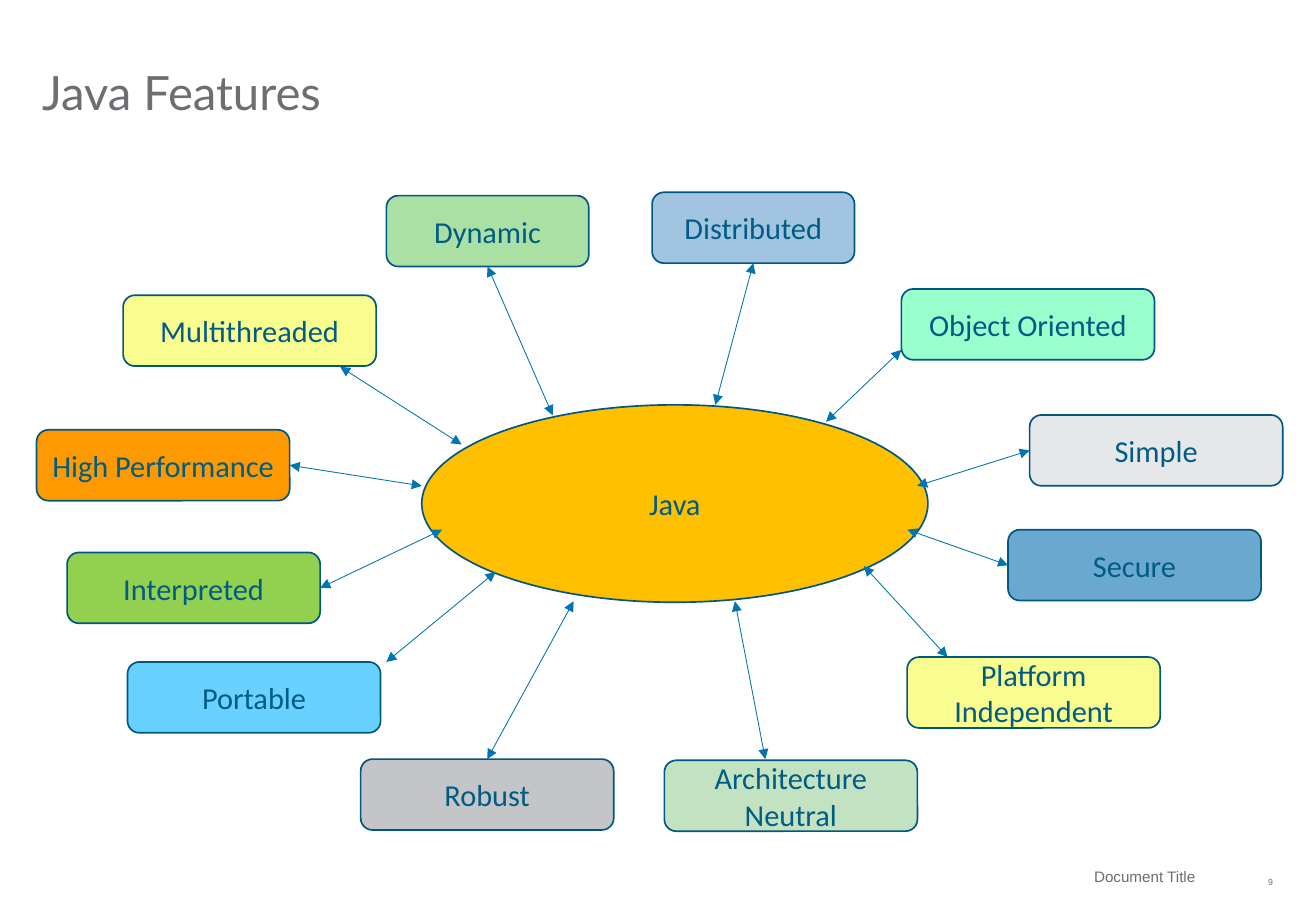
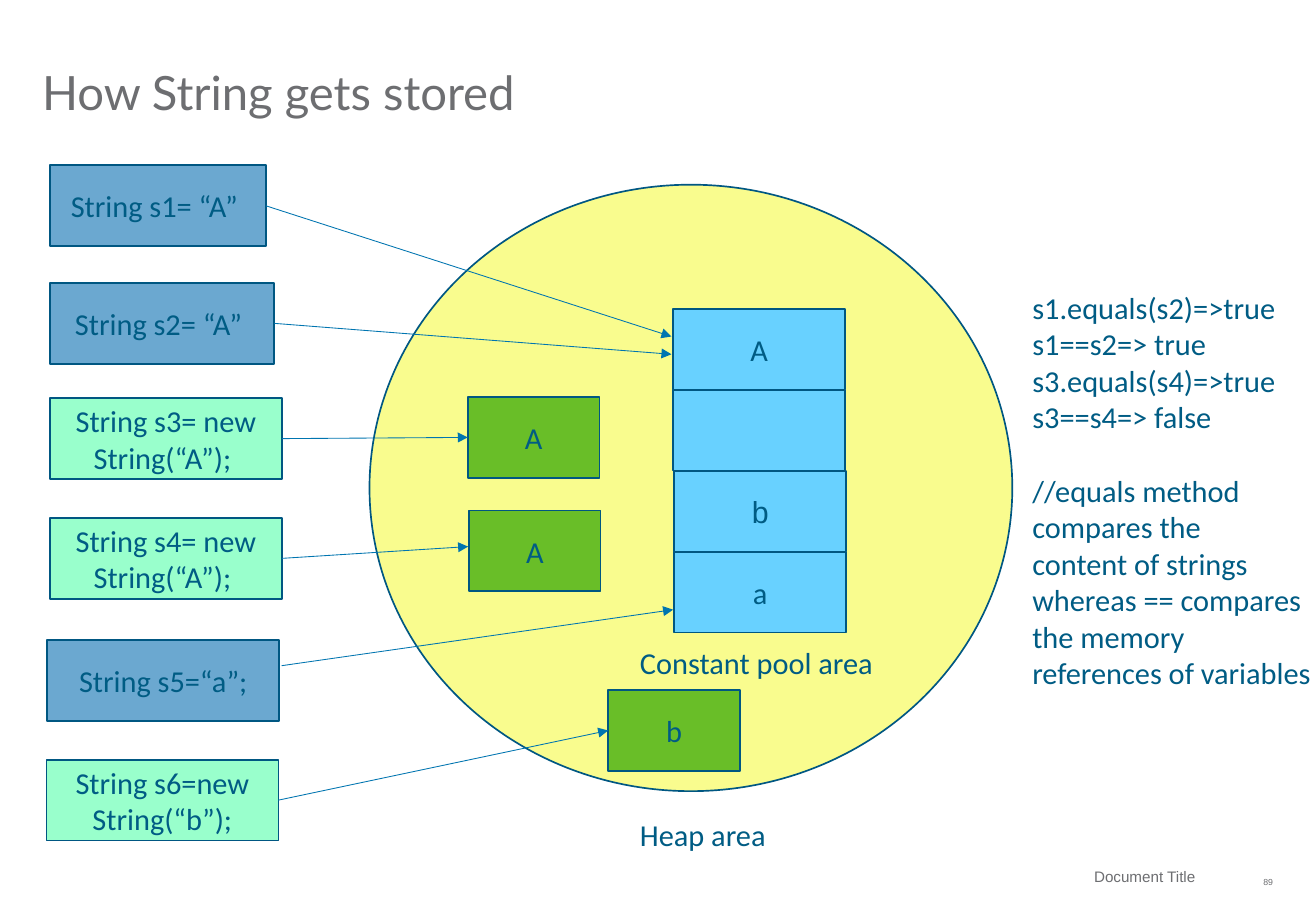
from dataclasses import dataclass
from lxml.etree import SubElement as Sub
from pptx import Presentation
from pptx.dml.color import RGBColor as Rgb
from pptx.enum.shapes import MSO_CONNECTOR as Link, MSO_SHAPE as Kind
from pptx.enum.text import MSO_ANCHOR as Anchor, PP_ALIGN as Align
from pptx.oxml.ns import qn
from pptx.util import Pt


@dataclass(frozen=True)
class Theme:
    ink: str = "005C84"
    edge: str = "005782"
    wire: str = "0075B0"
    gray: str = "6D6E71"
    gold: str = "FFC000"
    pale: str = "A1C5E0"
    mint: str = "99FFCC"
    mist: str = "E6E7E8"
    steel: str = "6BA8D0"
    lemon: str = "F9FC8E"
    ash: str = "C4C5C6"
    sky: str = "68D1FF"
    lime: str = "92D050"
    fire: str = "FF9900"
    sage: str = "C3E2C1"
    fern: str = "ABE0A5"
    leaf: str = "69BE28"
    head: int = 28
    body: int = 18
    foot: int = 9
    font: str = "Calibri"
    title: str = "Lato"
    plain: str = "Arial"


T = Theme()
TOP, LEFT, BOTTOM, RIGHT = range(4)
BODY = {"name": T.font, "size": Pt(T.body), "color": T.ink}
HEAD = {"name": T.title, "size": Pt(T.head), "color": T.gray}
FOOT = {"name": T.plain, "size": Pt(T.foot), "color": T.gray}


def apply(item, style):
    for key, value in style.items():
        if key == "color":
            item.color.rgb = Rgb.from_string(value)
        else:
            setattr(item, key, value)


class Deck:
    """Hold the theme and the current slide, and draw elements in points."""

    def __init__(self, wide, high):
        self.show = Presentation()
        self.show.slide_width, self.show.slide_height = Pt(wide), Pt(high)

    def page(self, title, number):
        self.slide = self.show.slides.add_slide(self.show.slide_layouts[6])
        none = (0, 0, 0, 0)
        digit = self.text(str(number), (726.5, 507.6, 28, 24), FOOT, none,
                          Anchor.MIDDLE, {"alignment": Align.RIGHT})
        run = digit.text_frame.paragraphs[0].runs[0]
        run._r.get_or_add_rPr().set("baseline", "-25000")
        self.text("Document Title", (445.7, 509.8, 273.6, 20), FOOT, (0, 0, 10.8, 0),
                  Anchor.MIDDLE, {"alignment": Align.RIGHT})
        self.text(title, (25, 16, 729.5, 55.4), HEAD, none,
                  Anchor.BOTTOM, {"line_spacing": 0.9})

    def label(self, shape, lines, font, inset, anchor, para, wrap=True):
        frame = shape.text_frame
        sides = ("margin_left", "margin_top", "margin_right", "margin_bottom")
        form = dict(zip(sides, map(Pt, inset)))
        apply(frame, {**form, "vertical_anchor": anchor, "word_wrap": wrap})
        frame.text = lines
        for part in frame.paragraphs:
            apply(part, para)
            for run in part.runs:
                apply(run.font, font)

    def text(self, lines, at, font=BODY, inset=(7.2, 3.6, 0, 3.6),
             anchor=Anchor.TOP, para={}, wrap=True):
        box = self.slide.shapes.add_textbox(*map(Pt, at))
        self.label(box, lines, font, inset, anchor, para, wrap)
        return box

    def box(self, words, fill, at, kind=Kind.RECTANGLE, font=BODY):
        shape = self.slide.shapes.add_shape(kind, *map(Pt, at))
        shape.shadow.inherit = False
        shape.fill.solid()
        shape.fill.fore_color.rgb = Rgb.from_string(fill)
        apply(shape.line, {"color": T.edge, "width": Pt(1)})
        if words:
            self.label(shape, words, font, (6, 3.6, 6, 3.6), Anchor.MIDDLE,
                       {"alignment": Align.CENTER})
        return shape

    def arrow(self, start, end, tips=("tailEnd",)):
        spots = [(0, 0) if hasattr(spot[0], "shape_id") else spot for spot in (start, end)]
        line = self.slide.shapes.add_connector(
            Link.STRAIGHT, *(Pt(n) for spot in spots for n in spot))
        for spot, join in ((start, line.begin_connect), (end, line.end_connect)):
            if hasattr(spot[0], "shape_id"):
                join(*spot)
        apply(line.line, {"color": T.wire, "width": Pt(0.5)})
        edge = line.line.get_or_add_ln() if hasattr(line.line, "get_or_add_ln") else line.get_or_add_ln()
        for tip in tips:
            Sub(edge, qn("a:" + tip), type="triangle")
        Sub(line._element.spPr, qn("a:effectLst"))


def traits(deck):
    deck.page("Java Features", 9)
    deck.box("Java", T.gold, (250, 240, 300, 117), Kind.OVAL)
    slim, broad, high = 120, 150, 42
    for words, fill, x, y, wide, start, end in (
        ("Distributed", T.pale, 386.5, 114, slim, BOTTOM, (424, 240)),
        ("Object Oriented", T.mint, 534.3, 171.3, broad, (534.3, 207.4), (489.6, 250)),
        ("Simple", T.mist, 610.3, 246, broad, LEFT, (543.6, 288)),
        ("Secure", T.steel, 597.5, 314, broad, LEFT, (537.8, 314)),
        ("Platform Independent", T.lemon, 537.7, 389.5, broad, (561.6, 389.5), (512, 335.5)),
        ("Robust", T.ash, 213.8, 450, broad, TOP, (340, 356.4)),
        ("Portable", T.sky, 75.6, 392.4, broad, (229, 392.4), (293.8, 339)),
        ("Interpreted", T.lime, 39.8, 327.5, broad, RIGHT, (262, 314)),
        ("High Performance", T.fire, 21.7, 254.8, broad, RIGHT, (250, 288)),
        ("Multithreaded", T.lemon, 73, 175, broad, (201.6, 217.4), (273.6, 263.5)),
        ("Architecture Neutral", T.sage, 393.8, 450.7, broad, (453.6, 450), (435.6, 356.4)),
        ("Dynamic", T.fern, 229, 116, slim, BOTTOM, (327.6, 246.2)),
    ):
        box = deck.box(words, fill, (x, y, wide, high), Kind.ROUNDED_RECTANGLE)
        if isinstance(start, int):
            start = (box, start)
        deck.arrow(start, end, ("headEnd", "tailEnd"))


def store(deck):
    deck.page("How String gets stored", 89)
    deck.box("", T.lemon, (219, 109.5, 381, 359.5), Kind.OVAL)
    high = 48
    for row, (words, x, face) in enumerate((
        ("A", 399, T.font), ("", 399, T.font), ("b", 399.6, T.plain), ("a", 399.6, T.font),
    )):
        deck.box(words, T.sky, (x, 183 + row * high, 102, high),
                 font={**BODY, "name": face})
    first, second, third = [
        deck.box(words, T.leaf, (x, y, 78, high))
        for words, x, y in (("A", 277.3, 235.3), ("A", 278, 302.5), ("b", 360.5, 409))
    ]
    for words, fill, x, y, wide, start, end in (
        ("String s1= “A” ", T.steel, 29.6, 98, 128, None, (398, 199.5)),
        ("String s2= “A” ", T.steel, 29.6, 167.7, 133, None, (398, 210)),
        ("String s3= new String(“A”); ", T.mint, 29.6, 236, 137.5, None, (first, LEFT)),
        ("String s4= new String(“A”); ", T.mint, 29.6, 307, 137.5, None, (277.5, 324)),
        ("String s5=“a”;", T.steel, 28, 379.3, 137.5, (167, 394.6), (399, 361.4)),
        ("String s6=new String(“b”);", T.mint, 27.5, 450.3, 137.5, None, (third, LEFT)),
    ):
        box = deck.box(words, fill, (x, y, wide, high))
        deck.arrow(start or (box, RIGHT), end)
    for words, y in (("Heap area", 480.2), ("Constant pool area", 378)):
        deck.text(words, (372.2, y, 159, 29))
    notes = deck.text("\n".join((
        "s1.equals(s2)=>true", "s1==s2=> true", "s3.equals(s4)=>true", "s3==s4=> false",
        "//equals method", "compares the", "content of strings", "whereas == compares",
        "the memory", "references of variables",
    )), (604.8, 167.8, 175, 247), wrap=False)
    notes.text_frame.paragraphs[4].space_before = Pt(22)


def main():
    deck = Deck(780, 540)
    traits(deck)
    store(deck)
    deck.show.save("out.pptx")


if __name__ == "__main__":
    main()
